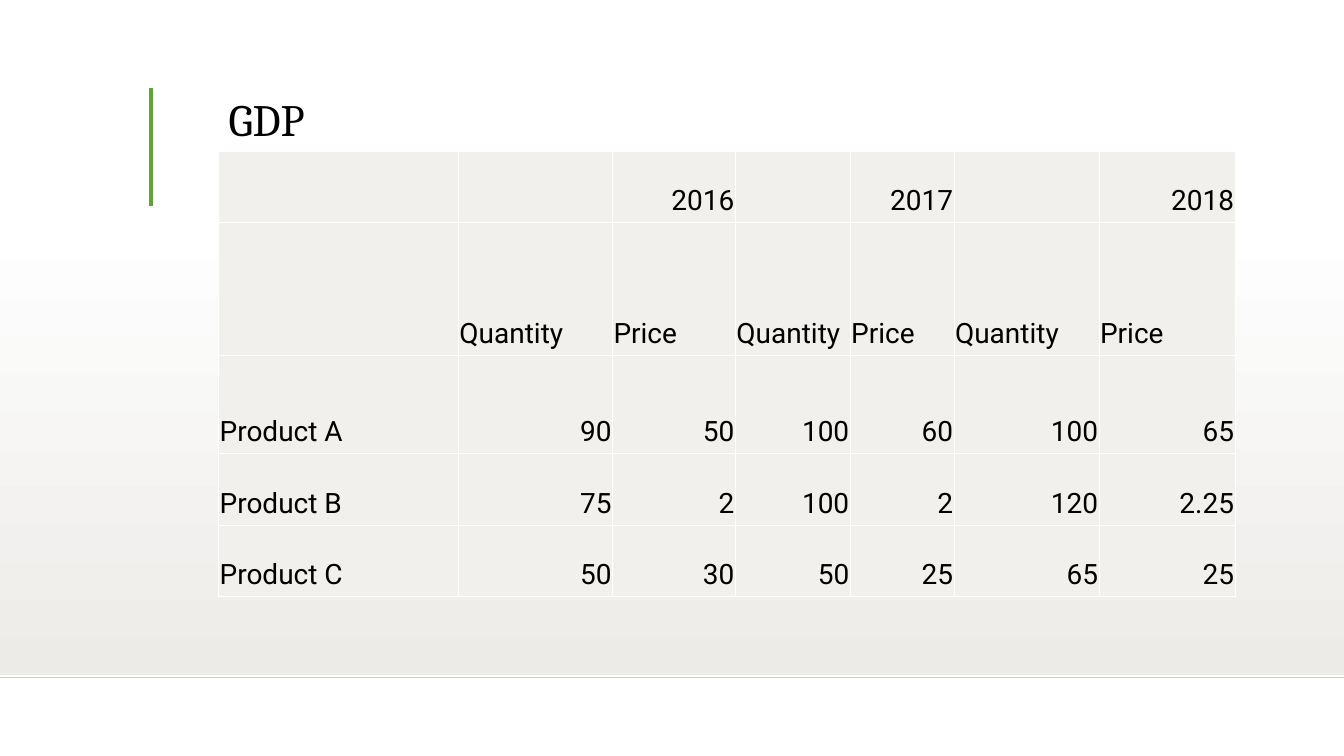
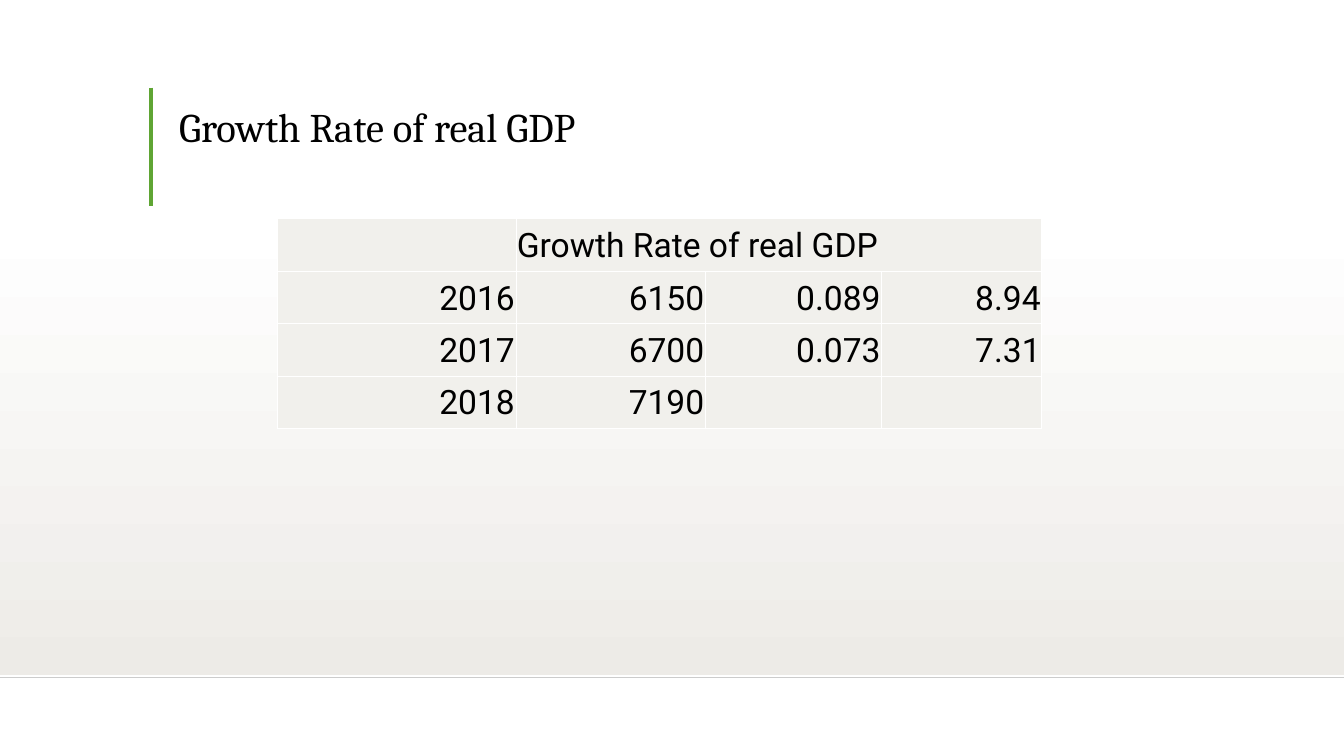
from lxml.etree import SubElement
from pptx import Presentation
from pptx.dml.color import RGBColor
from pptx.enum.shapes import MSO_CONNECTOR, MSO_SHAPE
from pptx.enum.text import MSO_ANCHOR, PP_ALIGN
from pptx.oxml.ns import qn
from pptx.util import Pt

PX = 9144  # EMU per px, 100 px to the inch
SLIDE_WIDTH, SLIDE_HEIGHT = 1334, 750
COLORS = {
    "white": "FFFFFF",
    "band": "EDEBE7",
    "rule": "CCCCCC",
    "accent": "5FA534",
    "cell": "F1F0EC",
    "text": "000000",
}
TITLE_FONT, TABLE_FONT = "Cambria", "Roboto"
BORDER_WIDTH = Pt(0.45)

GDP_ROWS = [
    ["", "", "2016", "", "2017", "", "2018"],
    [""] + ["Quantity", "Price"] * 3,
    ["Product A", "90", "50", "100", "60", "100", "65"],
    ["Product B", "75", "2", "100", "2", "120", "2.25"],
    ["Product C", "50", "30", "50", "25", "65", "25"],
]
GROWTH_ROWS = [
    ["", "Growth Rate of real GDP", "", ""],
    ["2016", "6150", "0.089", "8.94"],
    ["2017", "6700", "0.073", "7.31"],
    ["2018", "7190", "", ""],
]


def px(*lengths):
    return [length * PX for length in lengths]


def color(name):
    return RGBColor.from_string(COLORS[name])


def add_run(paragraph, text, font_name, size):
    run = paragraph.add_run()
    run.text = text
    run.font.name = font_name
    run.font.size = Pt(size)
    run.font.color.rgb = color("text")


def add_line(slide, start, end, color_name, width):
    line = slide.shapes.add_connector(MSO_CONNECTOR.STRAIGHT, *px(*start, *end))
    line.line.color.rgb = color(color_name)
    line.line.width = Pt(width)
    SubElement(line._element.spPr, qn("a:effectLst"))


def add_base_slide(presentation):
    """Add a slide with the shared band, bottom rule and title accent."""
    slide = presentation.slides.add_slide(presentation.slide_layouts[6])
    band = slide.shapes.add_shape(MSO_SHAPE.RECTANGLE, *px(0, 220, SLIDE_WIDTH, 450))
    band.shadow.inherit = False
    band.line.fill.background()
    band.fill.gradient()
    band.fill.gradient_angle = 270
    for stop, name in zip(band.fill.gradient_stops, ("white", "band")):
        stop.color.rgb = color(name)
    add_line(slide, (0, 672), (SLIDE_WIDTH, 672), "rule", 1)
    add_line(slide, (150, 87), (150, 204), "accent", 3)
    return slide


def add_title(slide, text, box, size, bottom_inset=5):
    frame = slide.shapes.add_textbox(*px(*box)).text_frame
    frame.word_wrap = True
    frame.vertical_anchor = MSO_ANCHOR.BOTTOM
    frame.margin_bottom = bottom_inset * PX
    paragraph = frame.paragraphs[0]
    paragraph.line_spacing = 0.9
    add_run(paragraph, text, TITLE_FONT, size)


def style_cell(cell):
    properties = cell._tc.get_or_add_tcPr()
    for side in ("a:lnL", "a:lnR", "a:lnT", "a:lnB"):
        border = SubElement(properties, qn(side), w=str(int(BORDER_WIDTH)))
        fill = SubElement(border, qn("a:solidFill"))
        SubElement(fill, qn("a:srgbClr"), val=COLORS["white"])
    cell.fill.solid()
    cell.fill.fore_color.rgb = color("cell")
    cell.vertical_anchor = MSO_ANCHOR.BOTTOM
    cell.margin_left = cell.margin_right = PX
    cell.margin_top = cell.margin_bottom = 5 * PX


def add_table(slide, rows, position, widths, heights, size):
    """Add a table whose numbers align right and whose words align left."""
    table = slide.shapes.add_table(
        len(rows), len(widths), *px(*position, sum(widths), sum(heights))
    ).table
    table.first_row = table.horz_banding = False
    for column, width in zip(table.columns, widths):
        column.width = width * PX
    for row, height, texts in zip(table.rows, heights, rows):
        row.height = height * PX
        for cell, text in zip(row.cells, texts):
            style_cell(cell)
            if text:
                paragraph = cell.text_frame.paragraphs[0]
                is_number = text[0].isdigit()
                paragraph.alignment = PP_ALIGN.RIGHT if is_number else PP_ALIGN.LEFT
                add_run(paragraph, text, TABLE_FONT, size)
    return table


def main():
    presentation = Presentation()
    presentation.slide_width, presentation.slide_height = px(SLIDE_WIDTH, SLIDE_HEIGHT)

    # GDP by product and year
    slide = add_base_slide(presentation)
    add_title(slide, "GDP", (217, 0, 900, 150), 32)
    add_table(slide, GDP_ROWS, (217, 150), [238, 153, 122, 114, 103, 144, 135],
              [71, 132, 97, 71, 71], 20)

    # Growth rate by year
    slide = add_base_slide(presentation)
    add_title(slide, "Growth Rate of real GDP", (168, 88, 1041, 115), 29, bottom_inset=53)
    table = add_table(slide, GROWTH_ROWS, (275, 217), [237, 188, 175, 159],
                      [52] * len(GROWTH_ROWS), 24)
    table.cell(0, 1).merge(table.cell(0, 3))

    presentation.save("out.pptx")


if __name__ == "__main__":
    main()
